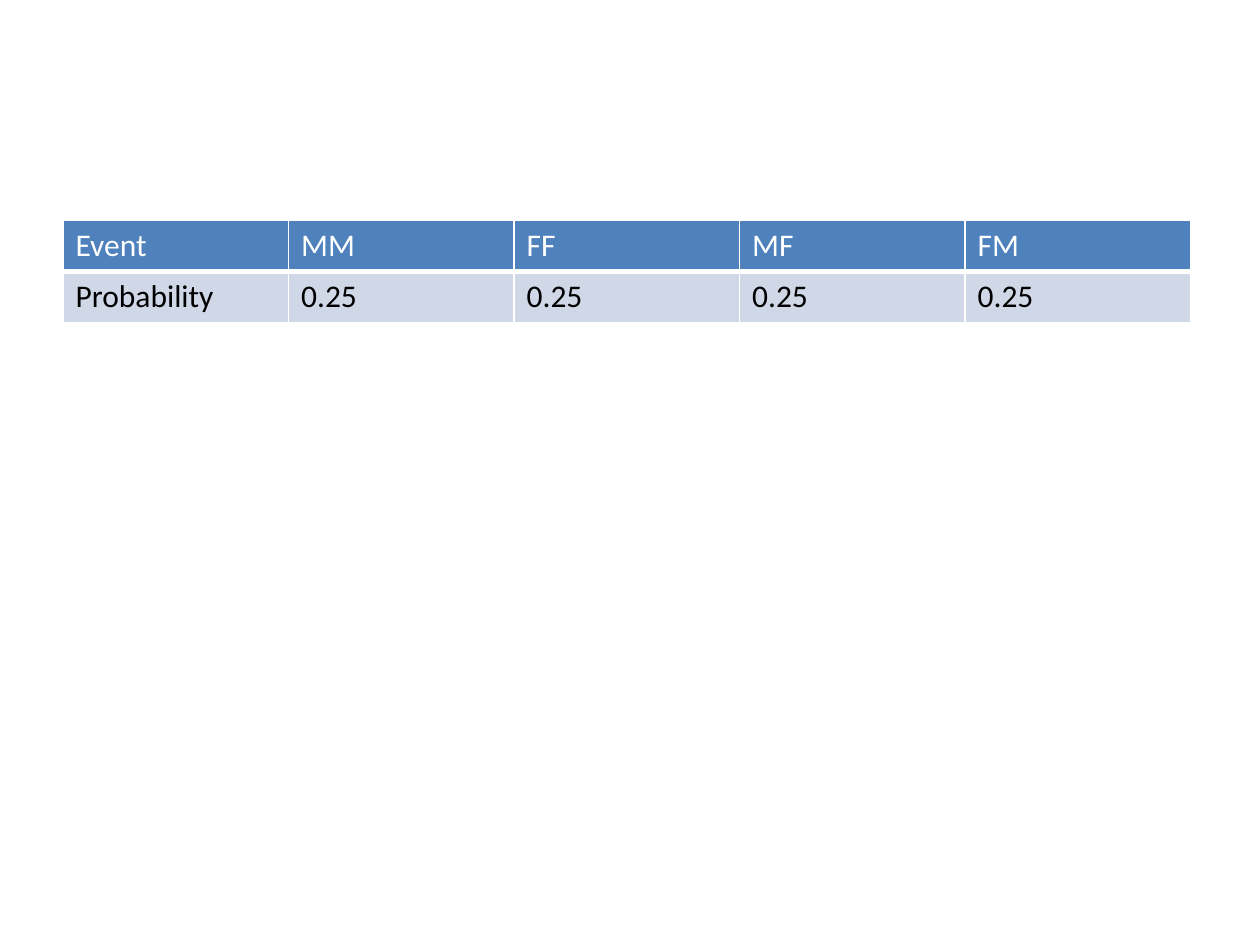
"""Build a slide with a table of events and their probabilities."""
from dataclasses import dataclass

from lxml.etree import SubElement as Sub
from pptx import Presentation as Deck
from pptx.dml.color import RGBColor as Color
from pptx.oxml.ns import qn
from pptx.util import Inches, Pt


@dataclass(frozen=True)
class Theme:
    font: str = "Calibri"
    size: int = 18
    head: str = "4F81BD"
    band: str = "D0D8E8"
    light: str = "FFFFFF"
    dark: str = "000000"
    thin: int = 1
    thick: int = 3


THEME = Theme()
WIDE, HIGH = Inches(10), Inches(7.5)
ROWS = [
    ["Event", "MM", "FF", "MF", "FM"],
    ["Probability"] + ["0.25"] * 4,
]


def edge(cell, side, width):
    props = cell._tc.get_or_add_tcPr()
    line = Sub(props, qn(f"a:ln{side}"), w=str(Pt(width)))
    fill = Sub(line, qn("a:solidFill"))
    Sub(fill, qn("a:srgbClr"), val=THEME.light)


def style(cell, text, head):
    for side in "LRTB":
        edge(cell, side, THEME.thick if head and side == "B" else THEME.thin)
    cell.fill.solid()
    cell.fill.fore_color.rgb = Color.from_string(THEME.head if head else THEME.band)
    run = cell.text_frame.paragraphs[0].add_run()
    run.text = text
    font = run.font
    font.name, font.size, font.bold = THEME.font, Pt(THEME.size), False
    font.color.rgb = Color.from_string(THEME.light if head else THEME.dark)


def grid(slide, rows, left, top, width, height):
    frame = slide.shapes.add_table(
        len(rows), len(rows[0]),
        int(WIDE * left), int(HIGH * top), int(WIDE * width), int(HIGH * height),
    )
    for r, row in enumerate(rows):
        for c, text in enumerate(row):
            style(frame.table.cell(r, c), text, r == 0)


def main():
    deck = Deck()
    deck.slide_width, deck.slide_height = WIDE, HIGH
    slide = deck.slides.add_slide(deck.slide_layouts[6])
    grid(slide, ROWS, left=0.05, top=7 / 30, width=0.895, height=0.81 / 7.5)
    deck.save("out.pptx")


main()
